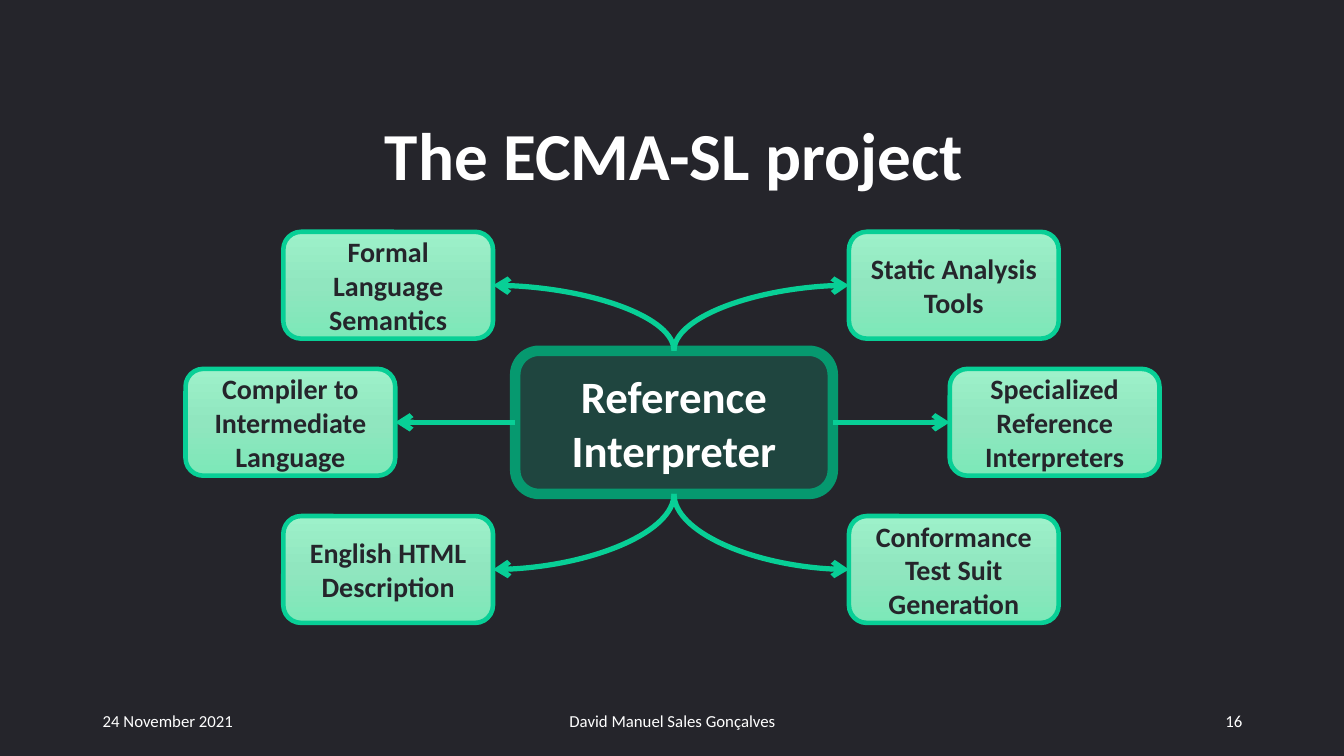
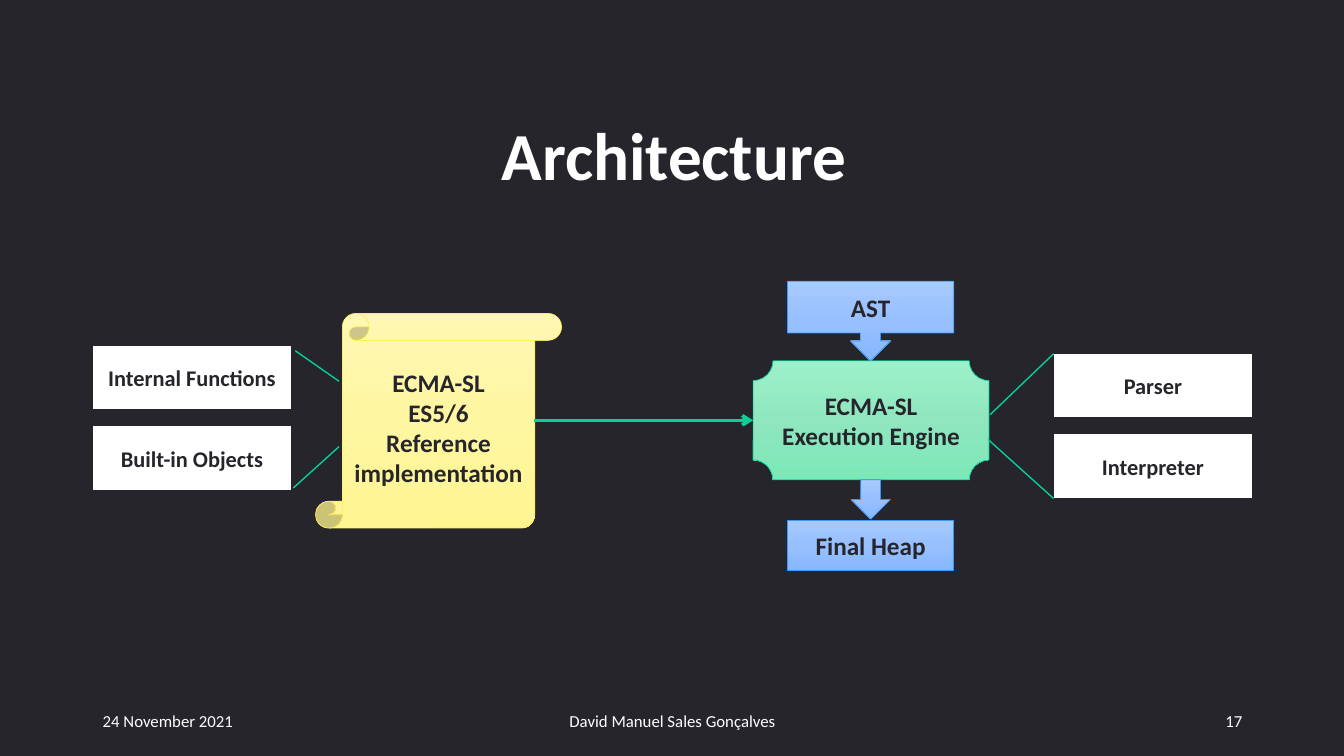
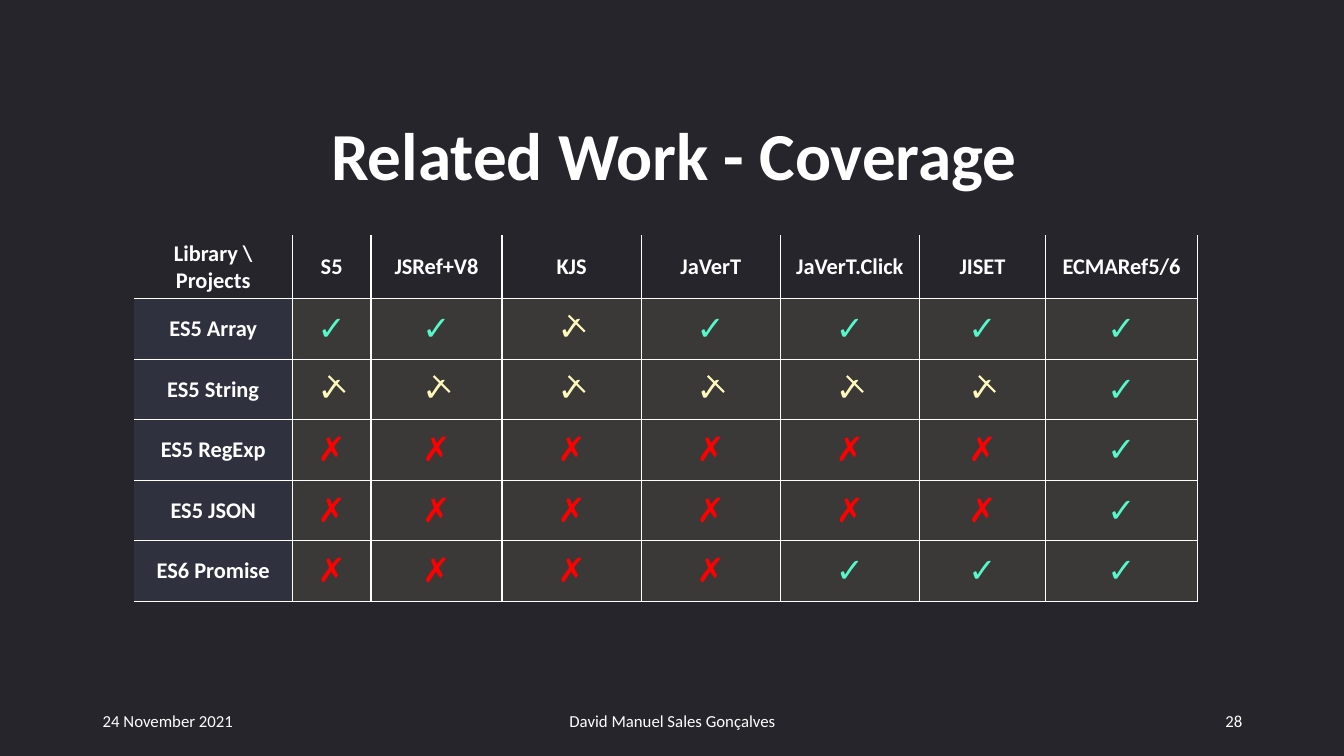
"""Build three dark slides on the ECMA-SL project."""
import dataclasses

import lxml.etree
import pptx
import pptx.dml.color
import pptx.enum.shapes
import pptx.enum.text
import pptx.oxml.ns
import pptx.util

SHAPE = pptx.enum.shapes.MSO_SHAPE
LINK = pptx.enum.shapes.MSO_CONNECTOR
ALIGN = pptx.enum.text.PP_ALIGN
MIDDLE = pptx.enum.text.MSO_ANCHOR.MIDDLE
TOP, LEFT, BOTTOM, RIGHT = range(4)
qn = pptx.oxml.ns.qn


@dataclasses.dataclass(frozen=True)
class Theme:
    font: str = "Calibri"
    glyph: str = "Arial"
    back: str = "25252B"
    white: str = "FFFFFF"
    green: str = "08CF96"
    edge: str = "06996F"
    gold: str = "FDEF54"
    blue: str = "3598FE"
    head: str = "30313E"
    cell: str = "3B3838"
    yes: str = "55F8C9"
    half: str = "FEF9BB"
    no: str = "FF0000"
    mint: tuple = ("9DF1CA", "90E6BF", "7CE8B8")
    cream: tuple = ("FFF7B2", "FFF6A2", "FFF593")
    sky: tuple = ("A7CAFF", "98C0FF", "86B7FF")
    title: int = 48
    core: int = 32
    mark: int = 24
    node: int = 20
    block: int = 18
    note: int = 16
    foot: int = 12


THEME = Theme()


def px(*values):
    return [pptx.util.Emu(round(value * 9144)) for value in values]


def rgb(code):
    return pptx.dml.color.RGBColor.from_string(code)


def write(frame, text, size, color=THEME.white, bold=True, align=ALIGN.CENTER, font=THEME.font):
    para = frame.paragraphs[0]
    para.alignment = align
    for index, line in enumerate(text.split("\n")):
        if index:
            para.add_line_break()
        run = para.add_run()
        run.text = line
        run.font.name = font
        run.font.size = pptx.util.Pt(size)
        run.font.bold = bold
        run.font.color.rgb = rgb(color)
    return para


def paint(shape, fill):
    if isinstance(fill, str):
        shape.fill.solid()
        shape.fill.fore_color.rgb = rgb(fill)
        return
    shape.fill.gradient()
    shape.fill.gradient_angle = 270
    stops = shape.element.spPr.find(qn("a:gradFill")).find(qn("a:gsLst"))
    for stop in list(stops):
        stops.remove(stop)
    for index, color in enumerate(fill):
        stop = lxml.etree.SubElement(stops, qn("a:gs"), pos=str(index * 50000))
        lxml.etree.SubElement(stop, qn("a:srgbClr"), val=color)


def fade(shape, percent):
    color = shape.element.spPr.find(qn("a:solidFill")).find(qn("a:srgbClr"))
    lxml.etree.SubElement(color, qn("a:alpha"), val=str(percent * 1000))


def block(slide, kind, area, fill, line, width, text="", size=THEME.block, color=THEME.back):
    shape = slide.shapes.add_shape(kind, *px(*area))
    shape.shadow.inherit = False
    paint(shape, fill)
    shape.line.color.rgb = rgb(line)
    shape.line.width = pptx.util.Pt(width)
    if text:
        write(shape.text_frame, text, size, color)
    return shape


def link(slide, kind, ends, color, width, arrow=None):
    wire = slide.shapes.add_connector(kind, *px(*ends))
    wire.line.color.rgb = rgb(color)
    wire.line.width = pptx.util.Pt(width)
    props = wire.element.spPr
    if arrow:
        lxml.etree.SubElement(props.find(qn("a:ln")), qn(arrow), type="arrow")
    lxml.etree.SubElement(props, qn("a:effectLst"))
    return wire


def page(deck, title, number):
    slide = deck.slides.add_slide(deck.slide_layouts[5])
    head = slide.shapes.title
    head.left, head.top, head.width, head.height = px(239, 85, 859, 145)
    frame = head.text_frame
    frame.word_wrap = True
    frame.auto_size = pptx.enum.text.MSO_AUTO_SIZE.NONE
    frame.vertical_anchor = MIDDLE
    write(frame, title, THEME.title).line_spacing = 0.9
    for left, width, text, align in (
        (92, 300, "24 November 2021", ALIGN.LEFT),
        (442, 450, "David Manuel Sales Gonçalves", ALIGN.CENTER),
        (942, 300, str(number), ALIGN.RIGHT),
    ):
        frame = slide.shapes.add_textbox(*px(left, 695, width, 40)).text_frame
        frame.word_wrap = True
        frame.vertical_anchor = MIDDLE
        write(frame, text, THEME.foot, bold=False, align=align)
    return slide


def spoke(slide, core, spot, text, side, port):
    node = block(slide, SHAPE.ROUNDED_RECTANGLE, (*spot, 208, 106), THEME.mint,
                 THEME.green, 3.25, text, THEME.node)
    bent = port in (TOP, BOTTOM)
    kind = LINK.CURVE if bent else LINK.STRAIGHT
    wire = link(slide, kind, (0, 0, 0, 0), THEME.green, 3.75, "a:headEnd")
    if bent:
        wire.element.spPr.find(qn("a:prstGeom")).set("prst", "curvedConnector2")
    wire.begin_connect(node, side)
    wire.end_connect(core, port)


def project(deck):
    slide = page(deck, "The ECMA-SL project", 16)
    core = block(slide, SHAPE.ROUNDED_RECTANGLE, (511, 348, 315, 142), THEME.green,
                 THEME.edge, 7.5, "Reference Interpreter", THEME.core, THEME.white)
    fade(core, 19)
    for spot, text, side, port in (
        ((842, 230), "Static Analysis Tools", LEFT, TOP),
        ((942, 366), "Specialized Reference Interpreters", LEFT, RIGHT),
        ((842, 512), "Conformance Test Suit Generation", LEFT, BOTTOM),
        ((281, 512), "English HTML Description", RIGHT, BOTTOM),
        ((184, 366), "Compiler to Intermediate Language", RIGHT, LEFT),
        ((281, 230), "Formal Language Semantics", RIGHT, TOP),
    ):
        spoke(slide, core, spot, text, side, port)


def design(deck):
    slide = page(deck, "Architecture", 17)
    block(slide, SHAPE.VERTICAL_SCROLL, (313, 311, 244, 213), THEME.cream, THEME.gold, 0.5,
          "ECMA-SL\nES5/6\nReference implementation")
    engine = block(slide, SHAPE.PLAQUE, (747, 358, 234, 118), THEME.mint, THEME.green, 0.5,
                   "ECMA-SL Execution Engine")
    for left, top, text, bends in (
        (92, 343, "Internal Functions", (0.08, 1.02, 0.56, 1.24)),
        (92, 423, "Built-in Objects", (0.97, 1.01, 0.32, 1.24)),
        (1045, 351, "Parser", (0, 0, 0.96, -0.32)),
        (1045, 431, "Interpreter", (1.01, 0, 0.08, -0.33)),
    ):
        note = block(slide, SHAPE.LINE_CALLOUT_1_NO_BORDER, (left, top, 197, 63),
                     THEME.white, THEME.green, 1, text, THEME.note)
        for index, bend in enumerate(bends):
            note.adjustments[index] = bend
    wire = link(slide, LINK.STRAIGHT, (530, 417, 747, 417), THEME.green, 2.5, "a:tailEnd")
    wire.end_connect(engine, LEFT)
    for kind, area, text in (
        (SHAPE.DOWN_ARROW_CALLOUT, (781, 279, 165, 79), "AST"),
        (SHAPE.DOWN_ARROW, (844, 476, 39, 39), ""),
        (SHAPE.RECTANGLE, (781, 516, 165, 50), "Final Heap"),
    ):
        block(slide, kind, area, THEME.sky, THEME.blue, 0.5, text)


def border(cell, row, col):
    props = cell._tc.get_or_add_tcPr()
    for side, shown in (("L", col), ("R", True), ("T", row), ("B", True)):
        line = lxml.etree.SubElement(props, qn("a:ln" + side), w="12700")
        if shown:
            fill = lxml.etree.SubElement(line, qn("a:solidFill"))
            lxml.etree.SubElement(fill, qn("a:srgbClr"), val=THEME.white)
        else:
            lxml.etree.SubElement(line, qn("a:noFill"))


def cover(deck):
    slide = page(deck, "Related Work - Coverage", 28)
    names = ("Library \\ Projects", "S5", "JSRef+V8", "KJS", "JaVerT", "JaVerT.Click",
             "JISET", "ECMARef5/6")
    rows = (names, ("ES5 Array", *"++~++++"), ("ES5 String", *"~~~~~~+"),
            ("ES5 RegExp", *"------+"), ("ES5 JSON", *"------+"), ("ES6 Promise", *"----+++"))
    marks = {"+": ("✓", THEME.yes), "~": ("✓", THEME.half), "-": ("✗", THEME.no)}
    wide = (157, 78, 130, 138, 138, 138, 125, 151)
    high = (63, 60, 60, 60, 60, 60)
    left, top = 133, 233
    area = px(left, top, sum(wide), sum(high))
    table = slide.shapes.add_table(len(rows), len(wide), *area).table
    table.horz_banding = False
    for column, size in zip(table.columns, px(*wide)):
        column.width = size
    for line, size in zip(table.rows, px(*high)):
        line.height = size
    for row, texts in enumerate(rows):
        for col, text in enumerate(texts):
            cell = table.cell(row, col)
            cell.vertical_anchor = MIDDLE
            border(cell, row, col)
            cell.fill.solid()
            if row and col:
                cell.fill.fore_color.rgb = rgb(THEME.cell)
                glyph, color = marks[text]
                write(cell.text_frame, glyph, THEME.mark, color, False, font=THEME.glyph)
            else:
                cell.fill.fore_color.rgb = rgb(THEME.head if row else THEME.back)
                write(cell.text_frame, text, THEME.note)
            if text == "~":
                x = left + sum(wide[:col]) + wide[col] // 2 - 3
                y = top + sum(high[:row]) + 17
                link(slide, LINK.STRAIGHT, (x, y, x + 16, y + 16), THEME.half, 1.5)


def main():
    deck = pptx.Presentation()
    deck.slide_width, deck.slide_height = px(1333, 750)
    fill = deck.slide_master.background.fill
    fill.solid()
    fill.fore_color.rgb = rgb(THEME.back)
    project(deck)
    design(deck)
    cover(deck)
    deck.save("out.pptx")


if __name__ == "__main__":
    main()
